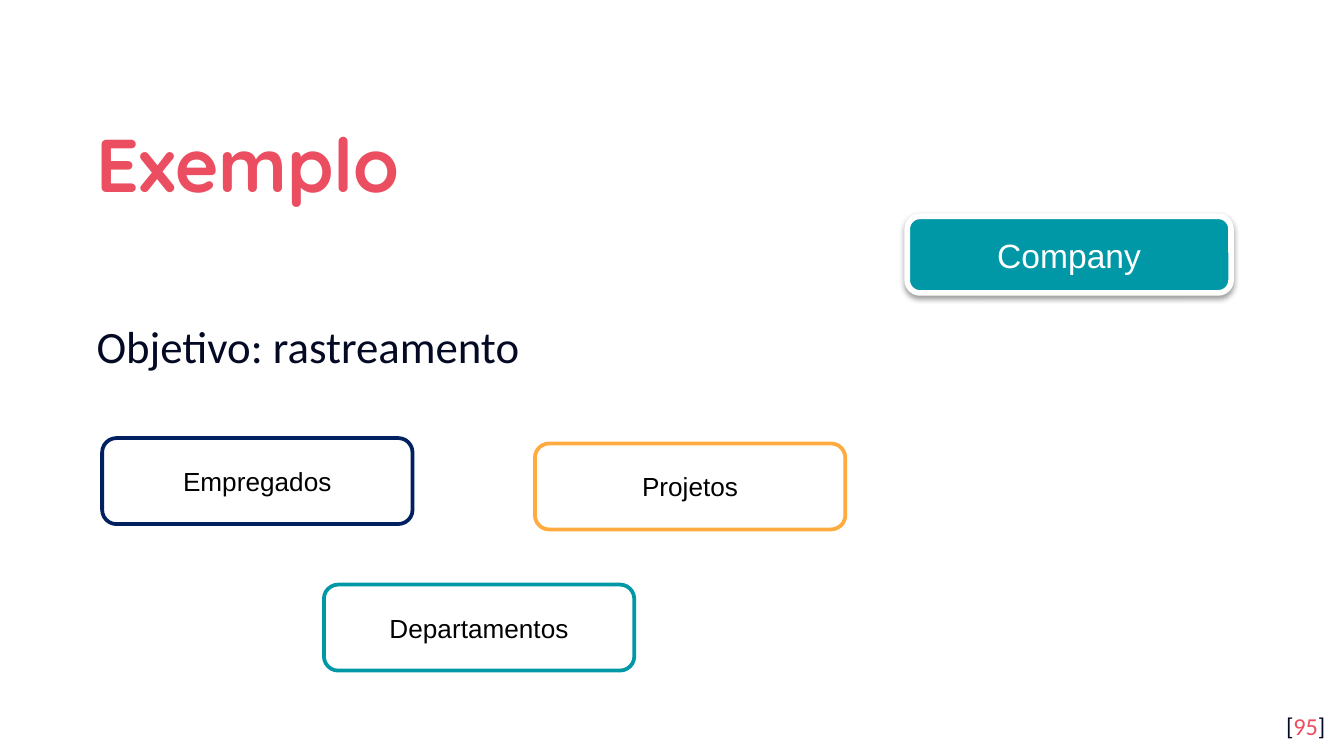
from lxml import etree
from pptx import Presentation
from pptx.dml.color import RGBColor
from pptx.enum.shapes import MSO_SHAPE
from pptx.enum.text import MSO_ANCHOR, PP_ALIGN
from pptx.oxml.ns import qn
from pptx.util import Pt

ROUNDED = MSO_SHAPE.ROUNDED_RECTANGLE
TOP, MIDDLE = MSO_ANCHOR.TOP, MSO_ANCHOR.MIDDLE
LEFT, CENTER, RIGHT = PP_ALIGN.LEFT, PP_ALIGN.CENTER, PP_ALIGN.RIGHT
JUSTIFY = PP_ALIGN.JUSTIFY

NAVY, CORAL, TEAL = "040A24", "EA4E60", "0097A7"
WHITE, BLACK = "FFFFFF", "000000"

TITLE_FONT = {"name": "Quicksand", "size": Pt(40), "bold": True}
BODY_FONT = {"name": "Calibri", "size": Pt(24)}
NUMBER_FONT = {"name": "Calibri", "size": Pt(13)}
COMPANY_FONT = {"name": "Arial", "size": Pt(18)}
ENTITY_FONT = {"name": "Arial", "size": Pt(14)}


def color(value):
    return RGBColor.from_string(value)


def write(frame, runs, font, align, anchor=MIDDLE, spacing=1.0):
    """Fill a text frame with one paragraph of (text, colour) runs."""
    frame.word_wrap = True
    frame.vertical_anchor = anchor
    para = frame.paragraphs[0]
    para.alignment = align
    para.line_spacing = spacing
    for text, fill in runs:
        span = para.add_run()
        span.text = text
        for key, value in font.items():
            setattr(span.font, key, value)
        span.font.color.rgb = color(fill)


def add_text(page, area, runs, font, align, **layout):
    box = page.shapes.add_textbox(*map(Pt, area))
    for side in ("left", "top", "right", "bottom"):
        setattr(box.text_frame, f"margin_{side}", Pt(7.2))
    write(box.text_frame, runs, font, align, **layout)


def add_card(page, area, text, font, text_color, fill, line, width):
    card = page.shapes.add_shape(ROUNDED, *map(Pt, area))
    card.shadow.inherit = False
    card.fill.solid()
    card.fill.fore_color.rgb = color(fill)
    card.line.color.rgb = color(line)
    card.line.width = Pt(width)
    write(card.text_frame, [(text, text_color)], font, CENTER)
    return card


def add_shadow(card, blur, distance, opacity):
    """Cast a soft black shadow straight down."""
    effects = card.element.spPr.find(qn("a:effectLst"))
    shadow = etree.SubElement(effects, qn("a:outerShdw"), {
        "blurRad": str(Pt(blur)), "dist": str(Pt(distance)),
        "dir": "5400000", "rotWithShape": "0"})
    shade = etree.SubElement(shadow, qn("a:srgbClr"), val=BLACK)
    etree.SubElement(shade, qn("a:alpha"), val=str(opacity * 1000))


def main():
    deck = Presentation()
    deck.slide_width, deck.slide_height = Pt(720), Pt(405)
    page = deck.slides.add_slide(deck.slide_layouts[6])

    # Title, goal and page number
    add_text(page, (44.64, 159, 631.44, 48),
             [("Objetivo: rastreamento", NAVY)], BODY_FONT, JUSTIFY,
             spacing=1.15)
    add_text(page, (44.64, 50.4, 631.44, 66.24),
             [("Exemplo", CORAL)], TITLE_FONT, LEFT, spacing=1.15)
    add_text(page, (673.92, 373.68, 43.2, 30.96),
             [("[", NAVY), ("95", CORAL), ("]", NAVY)], NUMBER_FONT, RIGHT,
             anchor=TOP)

    # Company card
    company = add_card(page, (486, 115.92, 173.52, 41.04), "Company",
                       COMPANY_FONT, WHITE, TEAL, WHITE, 3)
    add_shadow(company, blur=3.1, distance=1.6, opacity=38)

    # Entities to track
    entities = [
        ("Empregados", 54.72, 234.72, "002060"),
        ("Departamentos", 173.52, 313.2, TEAL),
        ("Projetos", 286.56, 237.6, "FFAB40"),
    ]
    for name, left, top, line in entities:
        add_card(page, (left, top, 166.32, 46.08), name,
                 ENTITY_FONT, BLACK, WHITE, line, 2)

    deck.save("out.pptx")


if __name__ == "__main__":
    main()
